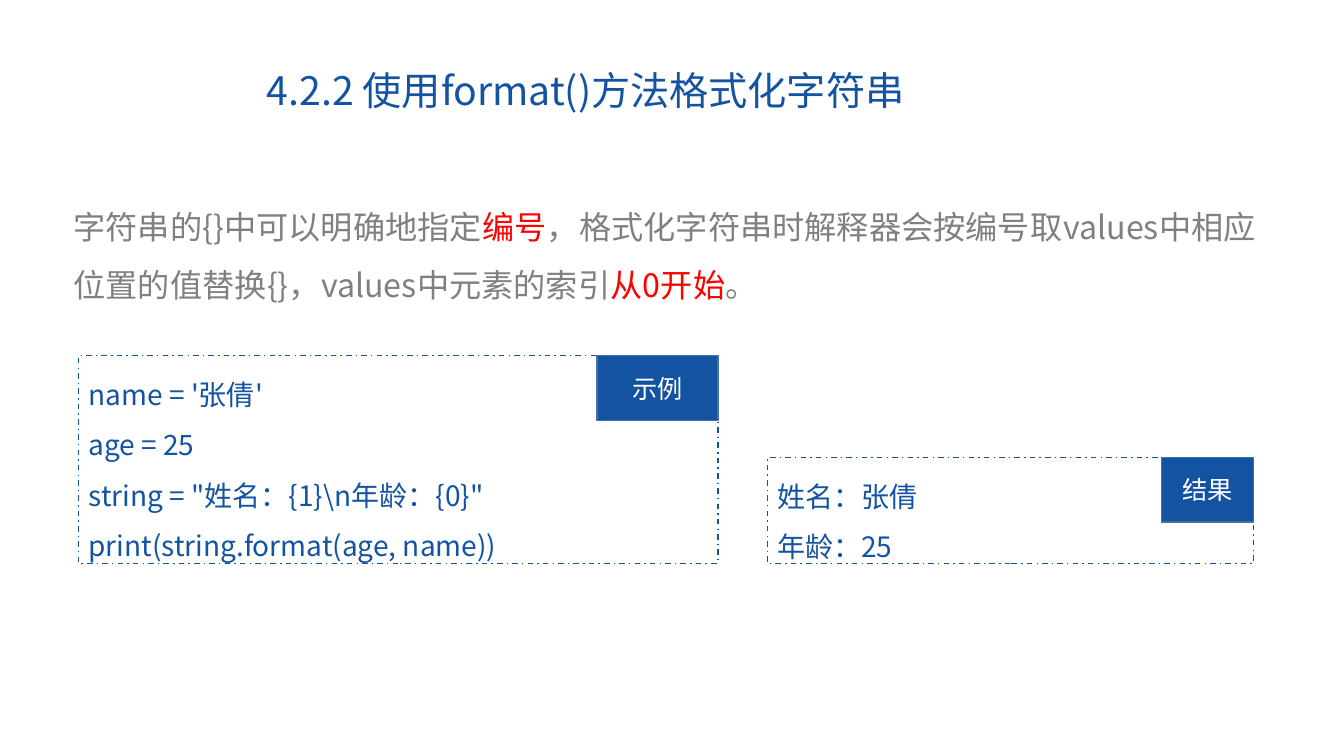
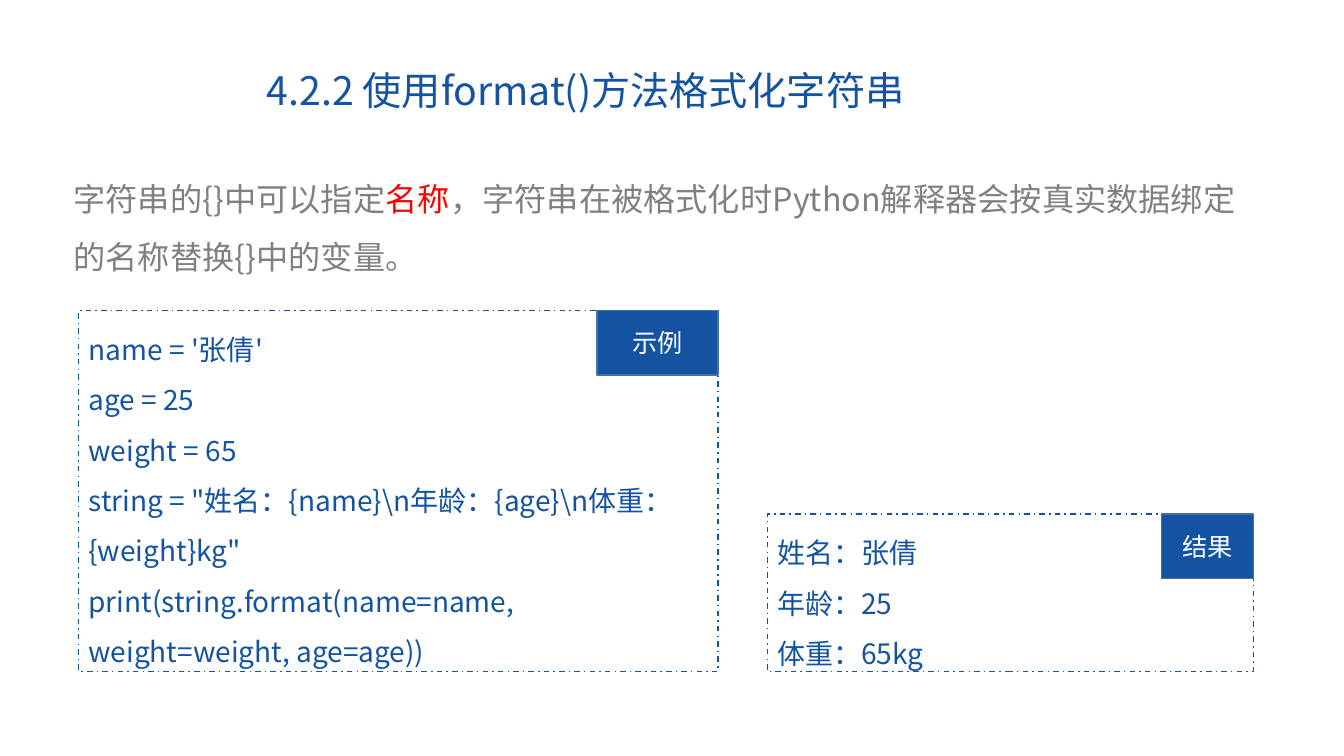
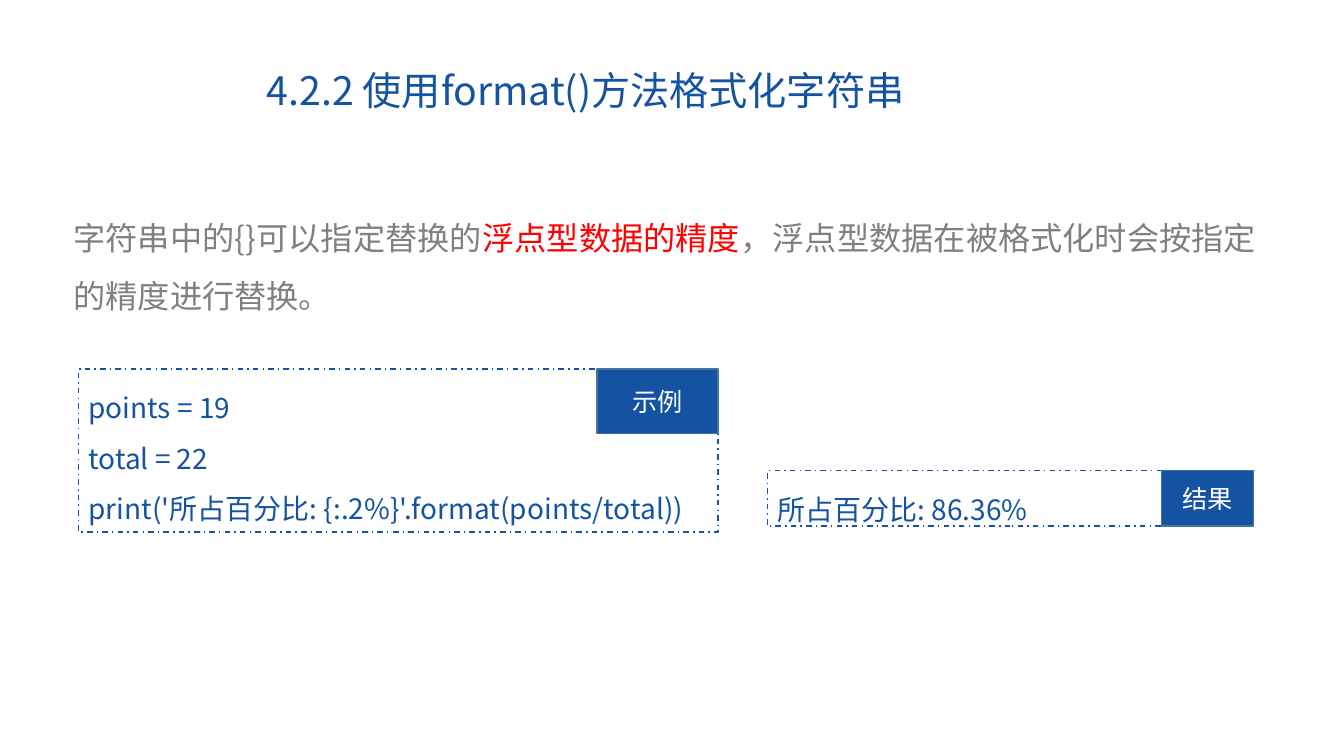
from lxml import etree
from pptx import Presentation
from pptx.dml.color import RGBColor
from pptx.enum.dml import MSO_LINE
from pptx.enum.shapes import MSO_SHAPE
from pptx.enum.text import MSO_ANCHOR, PP_ALIGN
from pptx.oxml.ns import qn
from pptx.util import Emu, Pt

PX = 9144  # 100 px to the inch
FONT = "Noto Sans CJK SC"
COLORS = {
    "blue": "1353A2",
    "edge": "43739E",
    "gray": "808080",
    "red": "FF0000",
    "white": "FFFFFF",
}
RECT = MSO_SHAPE.RECTANGLE
DASH_DOT = MSO_LINE.DASH_DOT
TOP, MIDDLE = MSO_ANCHOR.TOP, MSO_ANCHOR.MIDDLE
LEFT, CENTER = PP_ALIGN.LEFT, PP_ALIGN.CENTER

TITLE = "4.2.2 使用format()方法格式化字符串"
TAG_HEIGHT = 64
EXAMPLE = {"left": 78, "width": 634, "tag": "示例", "tag_width": 120}
RESULT = {"left": 761, "width": 482, "tag": "结果", "tag_width": 91}

# Intro spans marked True are highlighted.
PAGES = [
    {
        "intro_top": 182,
        "intro": [
            ("字符串的{}中可以明确地指定", False),
            ("编号", True),
            ("，格式化字符串时解释器会按编号取values中相应位置的值替换{}，values中元素的索引", False),
            ("从0开始", True),
            ("。", False),
        ],
        "example": (353, 206, [
            "name = '张倩'",
            "age = 25",
            r'string = "姓名：{1}\n年龄：{0}"',
            "print(string.format(age, name))",
        ]),
        "result": (454, 105, ["姓名：张倩", "年龄：25"]),
    },
    {
        "intro_top": 154,
        "intro": [
            ("字符串的{}中可以指定", False),
            ("名称", True),
            ("，字符串在被格式化时Python解释器会按真实数据绑定的名称替换{}中的变量。", False),
        ],
        "example": (308, 358, [
            "name = '张倩'",
            "age = 25",
            "weight = 65",
            r'string = "姓名：{name}\n年龄：{age}\n体重：{weight}kg"',
            "print(string.format(name=name, weight=weight, age=age))",
        ]),
        "result": (510, 156, ["姓名：张倩", "年龄：25", "体重：65kg"]),
    },
    {
        "intro_top": 193,
        "intro": [
            ("字符串中的{}可以指定替换的", False),
            ("浮点型数据的精度", True),
            ("，浮点型数据在被格式化时会按指定的精度进行替换。", False),
        ],
        "example": (366, 162, [
            "points = 19",
            "total = 22",
            "print('所占百分比: {:.2%}'.format(points/total))",
        ]),
        "result": (467, 55, ["所占百分比: 86.36%"]),
    },
]


def rgb(name):
    return RGBColor.from_string(COLORS[name])


def to_emu(box):
    return [Emu(length * PX) for length in box]


def write_text(shape, paragraphs, *, size, spacing=1.0, align=LEFT, anchor=TOP):
    """Fill a shape with paragraphs, each a list of (text, colour name) spans."""
    frame = shape.text_frame
    frame.word_wrap = True
    frame.vertical_anchor = anchor
    for index, spans in enumerate(paragraphs):
        para = frame.add_paragraph() if index else frame.paragraphs[0]
        para.alignment = align
        para.line_spacing = spacing
        for text, color in spans:
            span = para.add_run()
            span.text = text
            span.font.size = Pt(size)
            span.font.name = FONT
            span.font.color.rgb = rgb(color)
            east_asian = etree.SubElement(span.font._element, qn("a:ea"))
            east_asian.set("typeface", FONT)


def add_rectangle(page, box, *, line, fill=None, dash=None):
    shape = page.shapes.add_shape(RECT, *to_emu(box))
    shape.shadow.inherit = False
    if fill:
        shape.fill.solid()
        shape.fill.fore_color.rgb = rgb(fill)
    else:
        shape.fill.background()
    shape.line.color.rgb = rgb(line)
    shape.line.width = Pt(1)
    if dash:
        shape.line.dash_style = dash
    return shape


def add_title(page, box):
    title = page.shapes.add_textbox(*to_emu(box))
    write_text(title, [[(TITLE, "blue")]], size=28, spacing=0.9, anchor=MIDDLE)


def add_intro(page, box, intro):
    spans = [(text, "red" if marked else "gray") for text, marked in intro]
    write_text(page.shapes.add_textbox(*to_emu(box)), [spans], size=23, spacing=1.5)


def add_panel(page, style, content):
    """Dashed text frame with a filled tag in its top right corner."""
    top, height, lines = content
    left, width, tag_width = style["left"], style["width"], style["tag_width"]

    frame = add_rectangle(page, (left, top, width, height), line="blue", dash=DASH_DOT)
    write_text(frame, [[(line, "blue")] for line in lines], size=20, spacing=1.5)

    tag_box = (left + width - tag_width, top, tag_width, min(TAG_HEIGHT, height))
    tag = add_rectangle(page, tag_box, line="edge", fill="blue")
    write_text(tag, [[(style["tag"], "white")]], size=18, align=CENTER, anchor=MIDDLE)


def add_page(deck, content):
    page = deck.slides.add_slide(deck.slide_layouts[6])
    add_intro(page, (63, content["intro_top"], 1198, 124), content["intro"])
    add_title(page, (255, 66, 914, 53))
    add_panel(page, EXAMPLE, content["example"])
    add_panel(page, RESULT, content["result"])


def main():
    deck = Presentation()
    deck.slide_width, deck.slide_height = to_emu((1333, 750))
    for content in PAGES:
        add_page(deck, content)
    deck.save("out.pptx")


if __name__ == "__main__":
    main()
